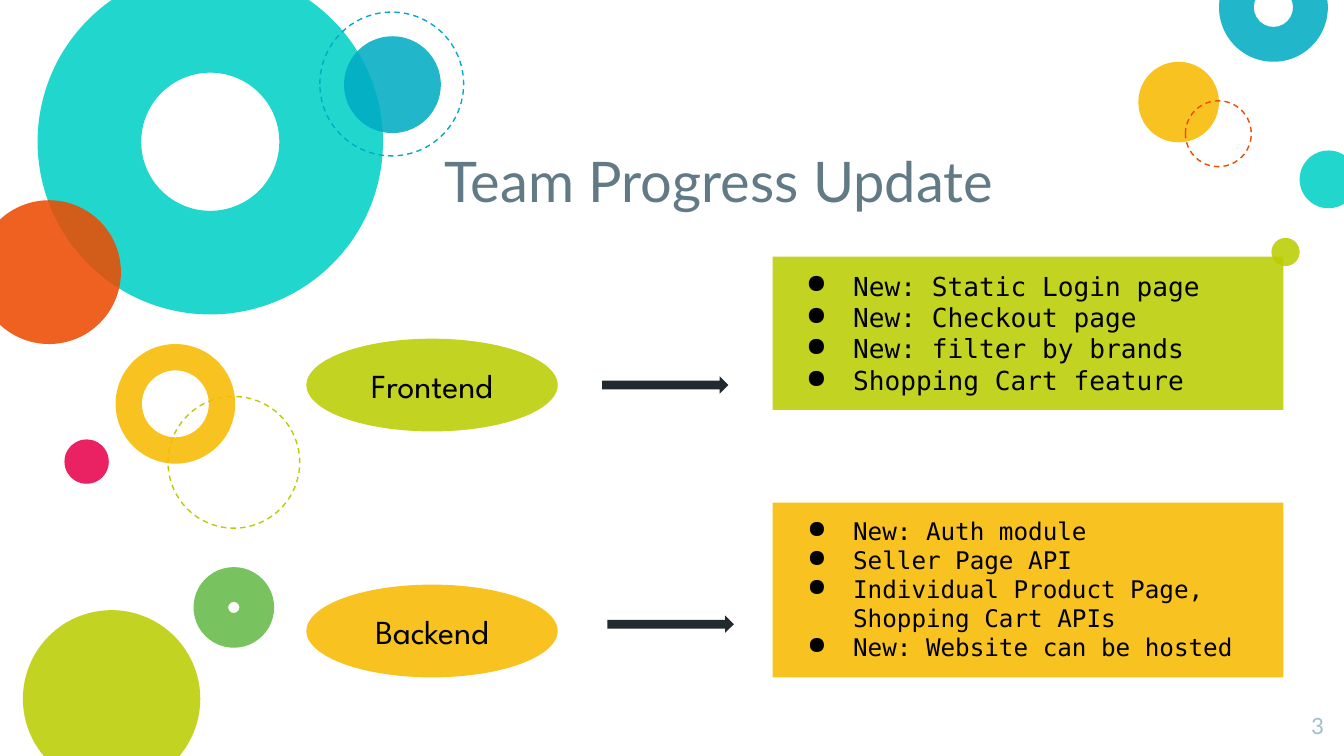
"""Build the team progress slide with frontend and backend updates."""
import lxml.etree
import pptx
import pptx.dml.color
import pptx.enum.dml
import pptx.enum.shapes
import pptx.enum.text
import pptx.oxml.ns
import pptx.util

PX = 9144
SHAPES = pptx.enum.shapes.MSO_SHAPE
ALIGN = pptx.enum.text.PP_ALIGN
ANCHOR = pptx.enum.text.MSO_ANCHOR
qn = pptx.oxml.ns.qn
hex_color = pptx.dml.color.RGBColor.from_string

LIME, AMBER, TEAL, BLUE = "BBCD00", "F8BB00", "00D1C6", "00ACC3"
ORANGE, GREEN, PINK, DARK = "ED4A00", "65BB48", "E8004C", "212A2E"

presentation = pptx.Presentation()
presentation.slide_width = 1000 * PX
presentation.slide_height = presentation.slide_width * 9 // 16
slide = presentation.slides.add_slide(presentation.slide_layouts[6])


def add_shape(kind, left, top, width, height, color, opacity=87):
    """Add a filled shape, or a dashed outline when the opacity is zero."""
    shape = slide.shapes.add_shape(kind, left * PX, top * PX, width * PX, height * PX)
    shape.shadow.inherit = False
    if opacity == 0:
        shape.fill.background()
        shape.line.color.rgb = hex_color(color)
        shape.line.width = pptx.util.Pt(0.75)
        shape.line.dash_style = pptx.enum.dml.MSO_LINE.DASH
        return shape
    shape.line.fill.background()
    shape.fill.solid()
    shape.fill.fore_color.rgb = hex_color(color)
    if opacity < 100:
        fill_color = shape.fill._xPr.find(qn("a:solidFill"))[0]
        lxml.etree.SubElement(fill_color, qn("a:alpha"), val=str(opacity * 1000))
    return shape


def write_text(shape, lines, font, size, color, align, anchor, hanging=0):
    """Write one paragraph per line, bulleted when a hanging indent is given."""
    frame = shape.text_frame
    frame.word_wrap = True
    frame.vertical_anchor = anchor
    frame.margin_left = frame.margin_right = 10 * PX
    frame.margin_top = frame.margin_bottom = 10 * PX
    for index, line in enumerate(lines):
        paragraph = frame.add_paragraph() if index else frame.paragraphs[0]
        paragraph.alignment = align
        run = paragraph.add_run()
        run.text = line
        run.font.name = font
        run.font.size = pptx.util.Pt(size)
        run.font.color.rgb = hex_color(color)
        if hanging:
            properties = paragraph._p.get_or_add_pPr()
            properties.set("marL", str(50 * PX))
            properties.set("indent", str(-hanging * PX))
            bullet_color = lxml.etree.SubElement(properties, qn("a:buClr"))
            lxml.etree.SubElement(bullet_color, qn("a:srgbClr"), val=color)
            lxml.etree.SubElement(properties, qn("a:buChar"), char="●")


circles = [
    (125, 295, 98, LIME, 0),
    (-17, 149, 107, ORANGE, 87),
    (256, 27, 72, BLUE, 87),
    (17, 454, 132, LIME, 87),
    (48, 327, 33, PINK, 87),
    (847, 46, 60, AMBER, 87),
    (967, 112, 43, TEAL, 87),
    (946, 177, 21, LIME, 87),
    (238, 9, 107, BLUE, 0),
    (882, 75, 49, ORANGE, 0),
]
rings = [
    (28, -23, 257, TEAL, 0.3),
    (86, 256, 89, AMBER, 0.22),
    (144, 422, 60, GREEN, 0.43),
    (907, -35, 81, BLUE, 0.32),
]
back_circle, *front_circles = circles
left, top, size, color, opacity = back_circle
add_shape(SHAPES.OVAL, left, top, size, size, color, opacity)
for left, top, size, color, thickness in rings:
    ring = add_shape(SHAPES.DONUT, left, top, size, size, color)
    ring.adjustments[0] = thickness
for left, top, size, color, opacity in front_circles:
    add_shape(SHAPES.OVAL, left, top, size, size, color, opacity)

title = slide.shapes.add_textbox(321 * PX, 99 * PX, 577 * PX, 70 * PX)
write_text(title, ["Team Progress Update"], "Lato", 30, "617A86", ALIGN.LEFT, ANCHOR.BOTTOM)
number = slide.shapes.add_textbox(944 * PX, 520 * PX, 51 * PX, 43 * PX)
write_text(number, ["3"], "Lato", 12, "A1BECC", ALIGN.RIGHT, ANCHOR.TOP)

teams = [
    ("Frontend", LIME, 252, (448, 280), (191, 114), 14, 35,
     ["New: Static Login page", "New: Checkout page",
      "New: filter by brands", "Shopping Cart feature"]),
    ("Backend", AMBER, 435, (452, 458), (374, 130), 13, 34,
     ["New: Auth module", "Seller Page API",
      "Individual Product Page, Shopping Cart APIs", "New: Website can be hosted"]),
]
for team, color, oval_top, arrow_at, (box_top, box_height), size, hanging, updates in teams:
    oval = add_shape(SHAPES.OVAL, 228, oval_top, 187, 69, color)
    write_text(oval, [team], "League Spartan", 18, "000000", ALIGN.CENTER, ANCHOR.MIDDLE)
    add_shape(SHAPES.RIGHT_ARROW, *arrow_at, 94, 13, DARK, 100)
    box = add_shape(SHAPES.RECTANGLE, 575, box_top, 380, box_height, color)
    write_text(box, updates, "DejaVu Sans Mono", size, "000000", ALIGN.LEFT, ANCHOR.TOP, hanging)

presentation.save("out.pptx")
